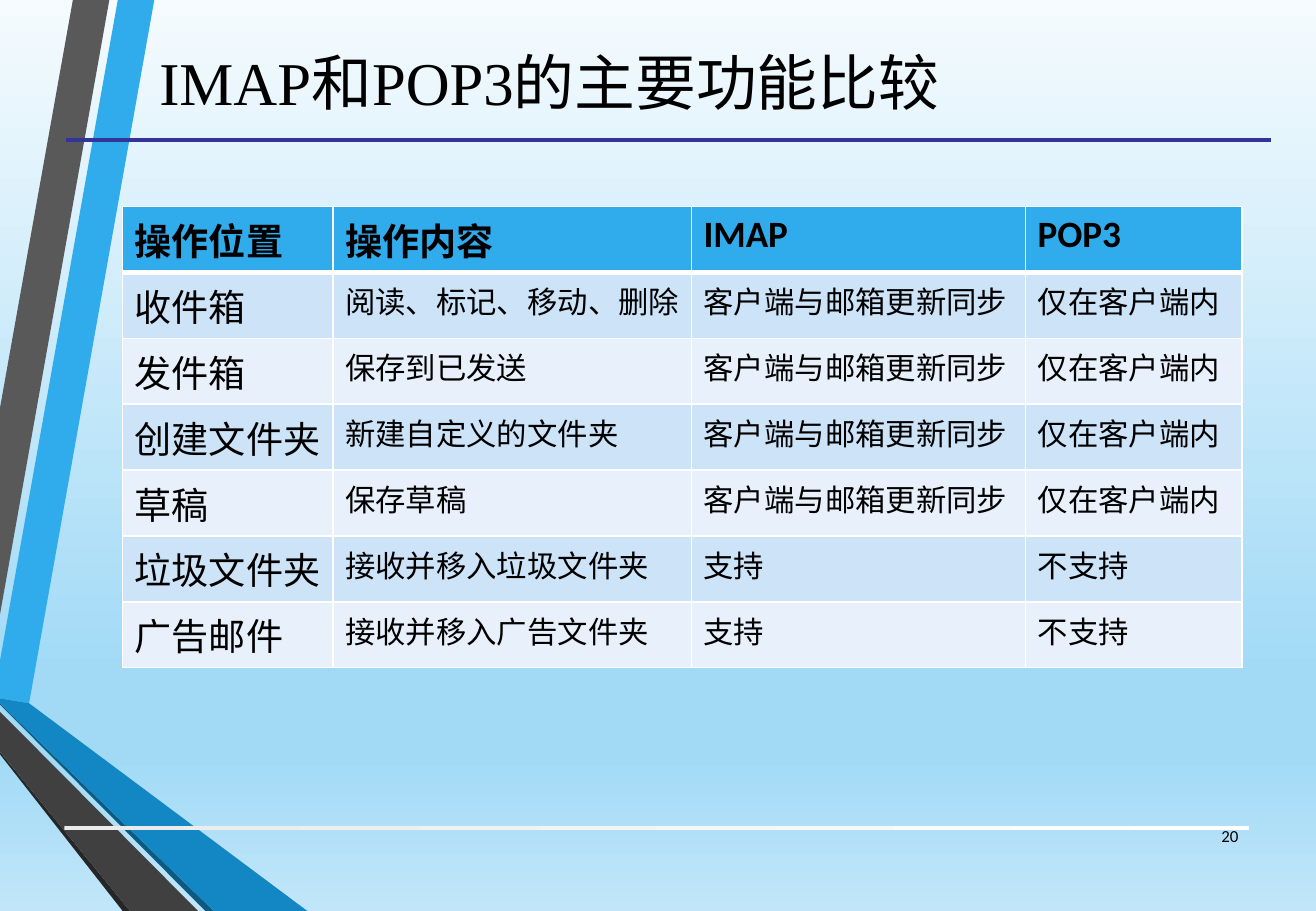
from copy import deepcopy

from lxml import etree
from pptx import Presentation
from pptx.dml.color import RGBColor
from pptx.enum.shapes import MSO_CONNECTOR, MSO_SHAPE
from pptx.enum.text import MSO_ANCHOR, PP_ALIGN
from pptx.oxml import parse_xml
from pptx.oxml.ns import nsdecls, qn
from pptx.util import Inches, Pt

RECTANGLE = MSO_SHAPE.RECTANGLE
STRAIGHT = MSO_CONNECTOR.STRAIGHT
MIDDLE = MSO_ANCHOR.MIDDLE
CENTER, RIGHT = PP_ALIGN.CENTER, PP_ALIGN.RIGHT

WIDTH, HEIGHT = 10.83, 7.5
BLACK, WHITE, BLUE = "000000", "FFFFFF", "30ACEC"
BAND_COLORS = ("E8F1FB", "CDE3F8")
SKY = ((0, "F5FBFE"), (0.74, "A2DAF6"), (0.83, "A2DAF6"), (1, "C1E6F9"))
FOOTER_FADE = ((0, "EBEBEB"), (1, WHITE))

RIBBONS = (
    (BLUE, ((0, 5.44), (0, 5.75), (0.24, 5.79), (1.27, 0), (0.97, 0))),
    ("595959", ((0.9, 0), (0.6, 0), (0, 3.36), (0, 5.06))),
    ("262626", ((0, 6.19), (0, 6.21), (1.01, HEIGHT), (1.07, HEIGHT))),
    ("0C5A82", ((0, 5.79), (0, 5.8), (1.69, HEIGHT), (1.76, HEIGHT))),
    ("1287C3", ((0, 5.79), (1.76, HEIGHT), (2.53, HEIGHT), (0.24, 5.79), (0, 5.75))),
    ("404040", ((0, 6.19), (1.07, HEIGHT), (1.63, HEIGHT), (0, 5.86))),
)

SYNCED = ("客户端与邮箱更新同步", "仅在客户端内")
SUPPORTED = ("支持", "不支持")
COLUMN_WIDTHS = (1.73, 2.95, 2.75, 1.78)
TABLE_HEIGHT = 3.8
ROWS = (
    ("操作位置", "操作内容", "IMAP", "POP3"),
    ("收件箱", "阅读、标记、移动、删除", *SYNCED),
    ("发件箱", "保存到已发送", *SYNCED),
    ("创建文件夹", "新建自定义的文件夹", *SYNCED),
    ("草稿", "保存草稿", *SYNCED),
    ("垃圾文件夹", "接收并移入垃圾文件夹", *SUPPORTED),
    ("广告邮件", "接收并移入广告文件夹", *SUPPORTED),
)


def color(value):
    return RGBColor.from_string(value)


def fill_solid(fill, value):
    fill.solid()
    fill.fore_color.rgb = color(value)


def fill_gradient(fill, stops, angle):
    """Fill with (position, colour) stops; the angle runs counter-clockwise."""
    fill.gradient()
    fill.gradient_angle = angle
    stop_list = fill.gradient_stops[0]._gs.getparent()
    while len(stop_list) < len(stops):
        stop_list.append(deepcopy(stop_list[0]))
    for stop, (position, value) in zip(fill.gradient_stops, stops):
        stop.position = position
        stop.color.rgb = color(value)


def write_text(paragraph, text, size, font="Calibri", **formats):
    run = paragraph.add_run()
    run.text = text
    run.font.color.rgb = color(BLACK)
    for name, value in {"size": Pt(size), "name": font, **formats}.items():
        setattr(run.font, name, value)


def add_text(slide, box, text, size, font, alignment):
    frame = slide.shapes.add_textbox(*map(Inches, box)).text_frame
    frame.word_wrap = True
    frame.vertical_anchor = MIDDLE
    paragraph = frame.paragraphs[0]
    paragraph.alignment = alignment
    write_text(paragraph, text, size, font)


def add_ribbon(slide, value, points):
    start, *others = [(Inches(x), Inches(y)) for x, y in points]
    builder = slide.shapes.build_freeform(*start)
    builder.add_line_segments(others, close=True)
    shape = builder.convert_to_shape()
    shape.shadow.inherit = False
    fill_solid(shape.fill, value)
    shape.line.fill.background()


def add_title_rule(slide):
    rule = slide.shapes.add_connector(STRAIGHT, *map(Inches, (0.54, 1.15, 10.46, 1.15)))
    rule.line.color.rgb = color("333399")
    rule.line.width = Pt(2.25)
    etree.SubElement(rule._element.spPr, qn("a:effectLst"))


def add_footer_bar(slide):
    bar = slide.shapes.add_shape(RECTANGLE, *map(Inches, (0.53, 6.8, 9.75, 0.03)))
    bar.shadow.inherit = False
    fill_gradient(bar.fill, FOOTER_FADE, 0)
    bar.line.fill.background()


def set_borders(cell, widths):
    """Draw white borders, given as widths in points by side."""
    properties = cell._tc.get_or_add_tcPr()
    for index, (side, width) in enumerate(widths.items()):
        properties.insert(index, parse_xml(
            f'<a:ln{side} {nsdecls("a")} w="{Pt(width)}"><a:solidFill>'
            f'<a:srgbClr val="{WHITE}"/></a:solidFill></a:ln{side}>'))


def add_comparison_table(slide):
    box = (1.01, 1.7, sum(COLUMN_WIDTHS), TABLE_HEIGHT)
    table = slide.shapes.add_table(
        len(ROWS), len(COLUMN_WIDTHS), *map(Inches, box)).table
    for column, width in zip(table.columns, COLUMN_WIDTHS):
        column.width = Inches(width)
    for row_index, texts in enumerate(ROWS):
        header = row_index == 0
        for column_index, text in enumerate(texts):
            cell = table.cell(row_index, column_index)
            fill_solid(cell.fill, BLUE if header else BAND_COLORS[row_index % 2])
            set_borders(cell, {"L": 1, "R": 1, "T": 3 if row_index == 1 else 1,
                               "B": 3 if header else 1})
            size = 22 if header or column_index == 0 else 18
            write_text(cell.text_frame.paragraphs[0], text, size, bold=header)


def main():
    presentation = Presentation()
    presentation.slide_width = Inches(WIDTH)
    presentation.slide_height = Inches(HEIGHT)
    slide = presentation.slides.add_slide(presentation.slide_layouts[6])
    fill_gradient(slide.background.fill, SKY, 270)
    for value, points in RIBBONS:
        add_ribbon(slide, value, points)
    add_footer_bar(slide)
    add_title_rule(slide)
    add_text(slide, (0.43, 0.05, 8.18, 1.24), "IMAP和POP3的主要功能比较",
             36, "Times New Roman", CENTER)
    add_comparison_table(slide)
    add_text(slide, (9.78, 6.68, 0.51, 0.4), "20", 10, "Calibri", RIGHT)
    presentation.save("out.pptx")


if __name__ == "__main__":
    main()
